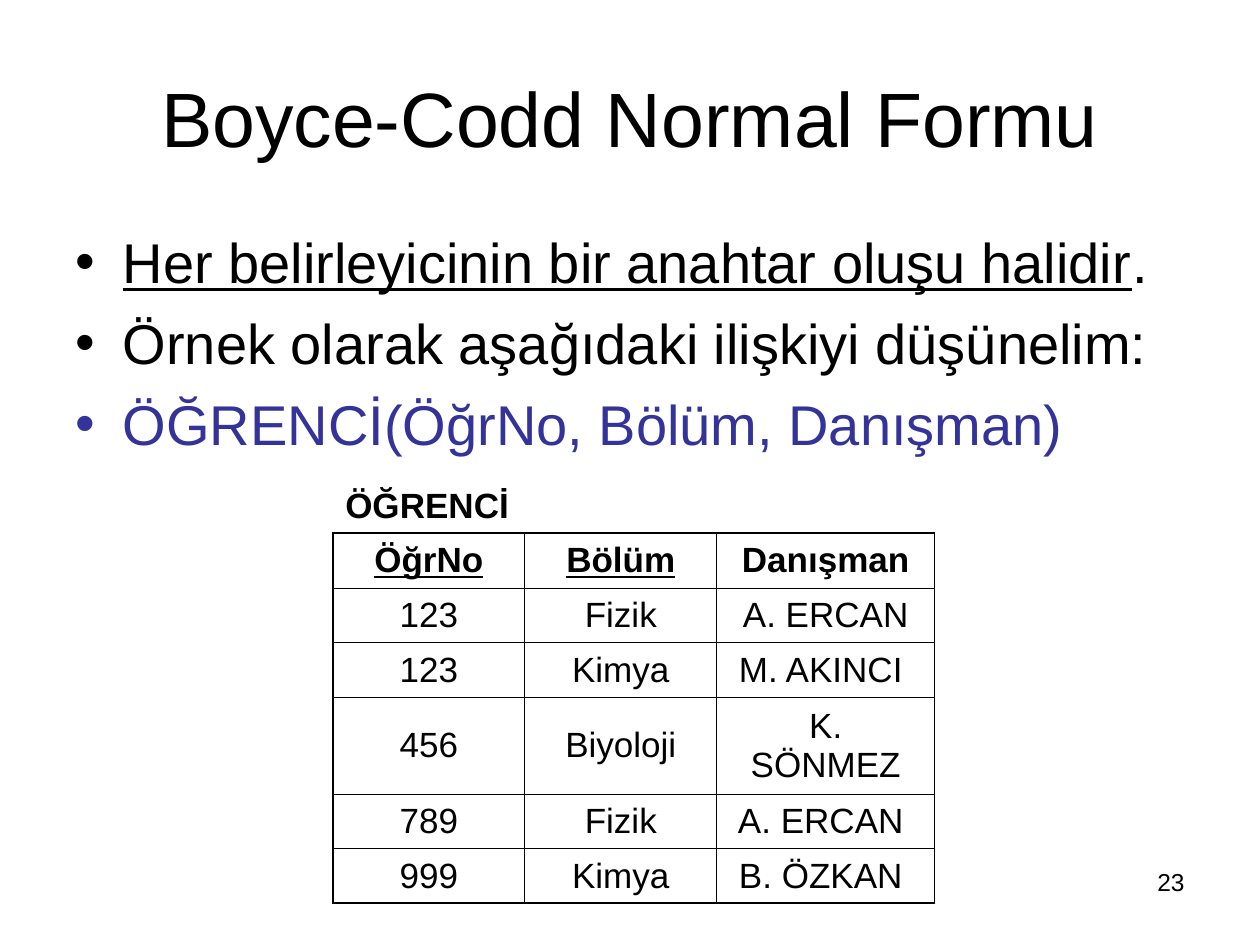
from dataclasses import dataclass

from lxml.etree import SubElement
from pptx import Presentation
from pptx.dml.color import RGBColor
from pptx.enum.text import MSO_ANCHOR, MSO_AUTO_SIZE, PP_ALIGN
from pptx.oxml.ns import qn
from pptx.util import Cm, Pt


@dataclass(frozen=True)
class Theme:
    font: str = "Arial"
    text: RGBColor = RGBColor(0, 0, 0)
    accent: RGBColor = RGBColor(0x33, 0x33, 0x99)
    title_size: float = 44
    body_size: float = 32
    table_size: float = 20
    number_size: float = 14
    outer_line: float = 1.08
    inner_line: float = 0.45


@dataclass(frozen=True)
class Box:
    left: float
    top: float
    width: float
    height: float

    def lengths(self):
        return Cm(self.left), Cm(self.top), Cm(self.width), Cm(self.height)


THEME = Theme()
HEADERS = ["ÖğrNo", "Bölüm", "Danışman"]
KEY_COLUMNS = 2
STUDENTS = [
    ["123", "Fizik", "A. ERCAN"],
    ["123", "Kimya", "M. AKINCI "],
    ["456", "Biyoloji", "K. SÖNMEZ"],
    ["789", "Fizik", "A. ERCAN "],
    ["999", "Kimya", "B. ÖZKAN "],
]
COLUMN_WIDTHS = [3.87, 3.87, 4.39]
CAPTION_HEIGHT = 1.12
BODY_INDENT = 0.95


def format_runs(paragraph, size, color=THEME.text, bold=False, underline=False):
    for run in paragraph.runs:
        run.font.name = THEME.font
        run.font.size = Pt(size)
        run.font.color.rgb = color
        run.font.bold = bold
        run.font.underline = underline


def place(shape, box):
    shape.left, shape.top, shape.width, shape.height = box.lengths()


def add_title(slide, box):
    title = slide.shapes.title
    place(title, box)
    title.text_frame.text = "Boyce-Codd Normal Formu"
    title.text_frame.auto_size = MSO_AUTO_SIZE.NONE
    title.text_frame.vertical_anchor = MSO_ANCHOR.MIDDLE
    paragraph = title.text_frame.paragraphs[0]
    paragraph.alignment = PP_ALIGN.CENTER
    format_runs(paragraph, THEME.title_size)


def set_bullet(paragraph, bulleted):
    properties = paragraph._p.get_or_add_pPr()
    properties.set("marL", str(Cm(BODY_INDENT)))
    properties.set("indent", str(-Cm(BODY_INDENT) if bulleted else 0))
    if bulleted:
        SubElement(properties, qn("a:buFont"), typeface=THEME.font)
        SubElement(properties, qn("a:buChar"), char="•")
    else:
        SubElement(properties, qn("a:buNone"))


def add_body(slide, box):
    body = slide.placeholders[1]
    place(body, box)
    frame = body.text_frame
    frame.text = (
        "Her belirleyicinin bir anahtar oluşu halidir\n"
        "Örnek olarak aşağıdaki ilişkiyi düşünelim:\n"
        "ÖĞRENCİ(ÖğrNo, Bölüm, Danışman)"
    )
    frame.auto_size = MSO_AUTO_SIZE.NONE
    definition, example, relation = frame.paragraphs
    definition.add_run().text = "."
    for paragraph in frame.paragraphs:
        paragraph.space_before = Pt(8)
        set_bullet(paragraph, paragraph is not relation)
    format_runs(definition, THEME.body_size)
    definition.runs[0].font.underline = True
    format_runs(example, THEME.body_size)
    format_runs(relation, THEME.body_size, THEME.accent)


def add_label(slide, box, text, size, alignment, bold=False):
    label = slide.shapes.add_textbox(*box.lengths())
    label.text_frame.word_wrap = True
    label.text_frame.text = text
    paragraph = label.text_frame.paragraphs[0]
    paragraph.alignment = alignment
    format_runs(paragraph, size, bold=bold)


def set_borders(cell, outer_sides):
    properties = cell._tc.get_or_add_tcPr()
    for side in ("L", "R", "T", "B"):
        width = THEME.outer_line if side in outer_sides else THEME.inner_line
        line = SubElement(properties, qn(f"a:ln{side}"), w=str(Pt(width)))
        fill = SubElement(line, qn("a:solidFill"))
        SubElement(fill, qn("a:srgbClr"), val=str(THEME.text))


def fill_cell(cell, text, outer_sides, bold, underline):
    cell.text_frame.text = text
    cell.vertical_anchor = MSO_ANCHOR.MIDDLE
    paragraph = cell.text_frame.paragraphs[0]
    paragraph.alignment = PP_ALIGN.CENTER
    format_runs(paragraph, THEME.table_size, bold=bold, underline=underline)
    set_borders(cell, outer_sides)
    cell.fill.background()


def add_student_table(slide, box):
    caption_box = Box(box.left, box.top, box.width / 2, CAPTION_HEIGHT)
    add_label(slide, caption_box, "ÖĞRENCİ", THEME.table_size, PP_ALIGN.LEFT, bold=True)

    rows = [HEADERS, *STUDENTS]
    grid_box = Box(box.left, box.top + CAPTION_HEIGHT, box.width, box.height - CAPTION_HEIGHT)
    table = slide.shapes.add_table(len(rows), len(HEADERS), *grid_box.lengths()).table
    table.first_row = False
    table.horz_banding = False
    for column, width in zip(table.columns, COLUMN_WIDTHS):
        column.width = Cm(width)
    last_row, last_column = len(rows) - 1, len(HEADERS) - 1
    for row, texts in enumerate(rows):
        for column, text in enumerate(texts):
            edges = {"L": column == 0, "R": column == last_column,
                     "T": row == 0, "B": row == last_row}
            outer_sides = [side for side, is_outer in edges.items() if is_outer]
            is_header = row == 0
            fill_cell(table.cell(row, column), text, outer_sides,
                      is_header, is_header and column < KEY_COLUMNS)


def main():
    presentation = Presentation()
    presentation.slide_width = Cm(25.4)
    presentation.slide_height = Cm(19.05)
    slide = presentation.slides.add_slide(presentation.slide_layouts[1])
    add_title(slide, Box(1.27, 0.76, 22.86, 3.18))
    add_body(slide, Box(1.27, 4.45, 22.86, 4.67))
    add_student_table(slide, Box(6.71, 9.63, sum(COLUMN_WIDTHS), 7.72))
    add_label(slide, Box(18.21, 17.35, 5.92, 1.32), "23", THEME.number_size, PP_ALIGN.RIGHT)
    presentation.save("out.pptx")


if __name__ == "__main__":
    main()
